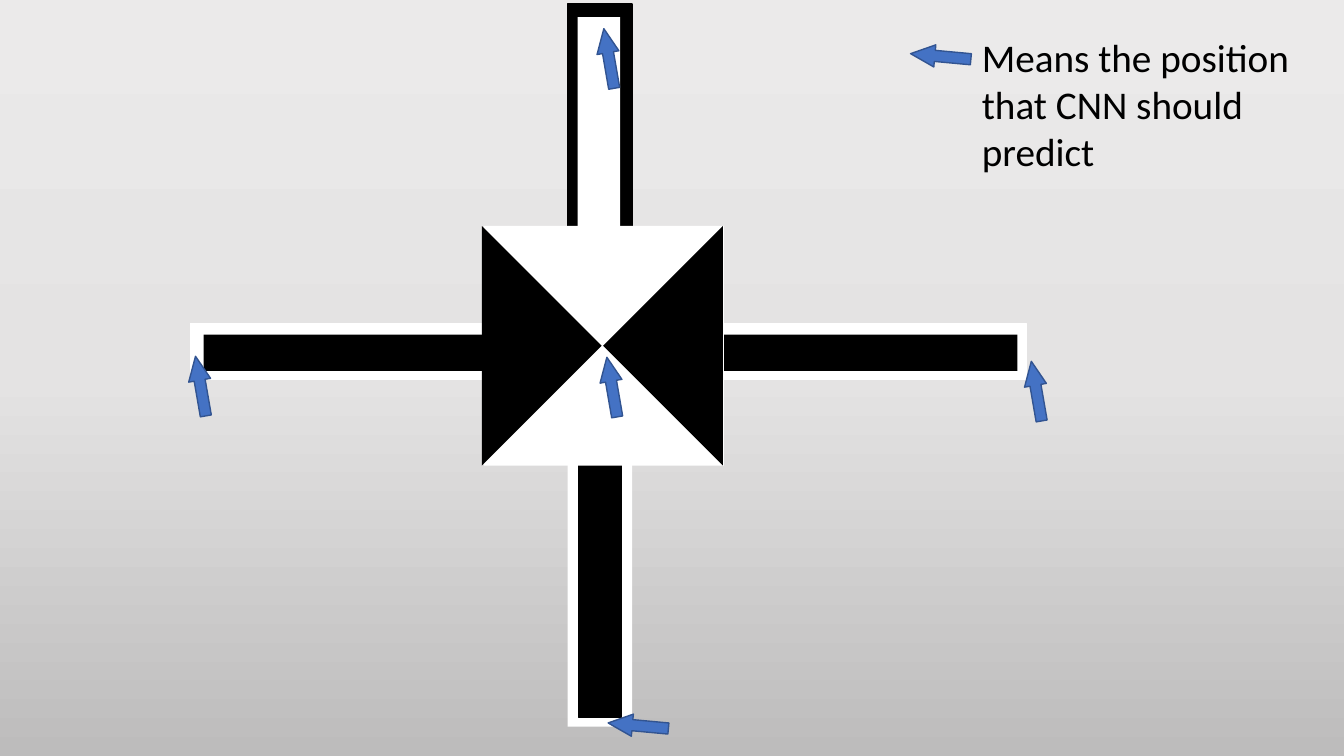
from copy import deepcopy
from dataclasses import dataclass
from typing import Optional

from pptx import Presentation
from pptx.dml.color import RGBColor
from pptx.enum.shapes import MSO_SHAPE
from pptx.enum.text import MSO_AUTO_SIZE
from pptx.oxml.ns import qn
from pptx.util import Inches, Pt

COLORS = {
    "black": "000000",
    "white": "FFFFFF",
    "arrow": "4472C4",
    "arrow_edge": "325491",
    "sky": "EBEAEA",
    "middle": "E4E3E3",
    "ground": "BDBCBC",
}
FONT = "Calibri"
ARROW_WIDTH, ARROW_HEIGHT = 0.22, 0.6
UPWARD, LEFTWARD = 170.2, 95.3


@dataclass
class Piece:
    kind: MSO_SHAPE
    left: float
    top: float
    width: float
    height: float
    fill: str
    edge: Optional[str] = None
    rotation: float = 0


@dataclass
class Pointer:
    left: float
    top: float
    rotation: float


BAR, PENTAGON, CORNER = MSO_SHAPE.RECTANGLE, MSO_SHAPE.PENTAGON, MSO_SHAPE.RIGHT_TRIANGLE

MARKER = [
    Piece(BAR, 5.63, 0.04, 0.64, 3.18, "black", "black"),
    Piece(BAR, 1.89, 3.21, 8.29, 0.55, "white", "white"),
    Piece(PENTAGON, 2.02, 3.32, 3.93, 0.36, "black"),
    Piece(PENTAGON, 5.95, 3.32, 4.14, 0.36, "black", rotation=180),
    Piece(PENTAGON, 4.29, 1.61, 3.3, 0.42, "white", rotation=90),
    Piece(BAR, 5.63, 3.77, 0.64, 3.44, "white"),
    Piece(BAR, 5.74, 3.68, 0.42, 3.44, "black", "black"),
    Piece(BAR, 4.8, 2.24, 2.38, 2.38, "white"),
    Piece(CORNER, 6.33, 2.59, 1.68, 1.68, "black", rotation=45),
    Piece(CORNER, 3.94, 2.59, 1.68, 1.68, "black", rotation=225),
]

POINTERS = [
    Pointer(5.96, 3.54, UPWARD),
    Pointer(10.17, 3.58, UPWARD),
    Pointer(5.93, 0.28, UPWARD),
    Pointer(1.88, 3.53, UPWARD),
    Pointer(6.22, 6.9, LEFTWARD),
    Pointer(9.22, 0.26, LEFTWARD),
]

LEGEND = ["Means the position", "that CNN should predict"]


def color(name: str) -> RGBColor:
    return RGBColor.from_string(COLORS[name])


def paint_background(page) -> None:
    fill = page.background.fill
    fill.gradient()
    fill.gradient_angle = 270
    stop_list = page.background._cSld.find(".//" + qn("a:gsLst"))
    stop_list.insert(1, deepcopy(stop_list[0]))
    stops = zip(fill.gradient_stops, ("sky", "middle", "ground"), (0, 0.5, 1))
    for stop, name, position in stops:
        stop.color.rgb = color(name)
        stop.position = position


def draw_piece(page, piece: Piece):
    shape = page.shapes.add_shape(
        piece.kind, Inches(piece.left), Inches(piece.top),
        Inches(piece.width), Inches(piece.height),
    )
    shape.rotation = piece.rotation
    shape.shadow.inherit = False
    shape.fill.solid()
    shape.fill.fore_color.rgb = color(piece.fill)
    if piece.edge:
        shape.line.color.rgb = color(piece.edge)
        shape.line.width = Pt(1)
    else:
        shape.line.fill.background()
    return shape


def draw_pointer(page, pointer: Pointer) -> None:
    arrow = draw_piece(page, Piece(
        MSO_SHAPE.DOWN_ARROW, pointer.left, pointer.top, ARROW_WIDTH, ARROW_HEIGHT,
        "arrow", "arrow_edge", pointer.rotation,
    ))
    arrow.adjustments[0] = 0.5
    arrow.adjustments[1] = 1.094


def write_legend(page) -> None:
    box = page.shapes.add_textbox(Inches(9.64), Inches(0.28), Inches(3.64), Inches(1.51))
    frame = box.text_frame
    frame.word_wrap = True
    frame.auto_size = MSO_AUTO_SIZE.SHAPE_TO_FIT_TEXT
    for index, line in enumerate(LEGEND):
        para = frame.add_paragraph() if index else frame.paragraphs[0]
        span = para.add_run()
        span.text = line
        span.font.name = FONT
        span.font.size = Pt(28)
        span.font.color.rgb = color("black")


deck = Presentation()
deck.slide_width, deck.slide_height = Inches(13.33), Inches(7.5)
page = deck.slides.add_slide(deck.slide_layouts[6])
paint_background(page)
for piece in MARKER:
    draw_piece(page, piece)
for pointer in POINTERS:
    draw_pointer(page, pointer)
write_legend(page)
deck.save("out.pptx")
